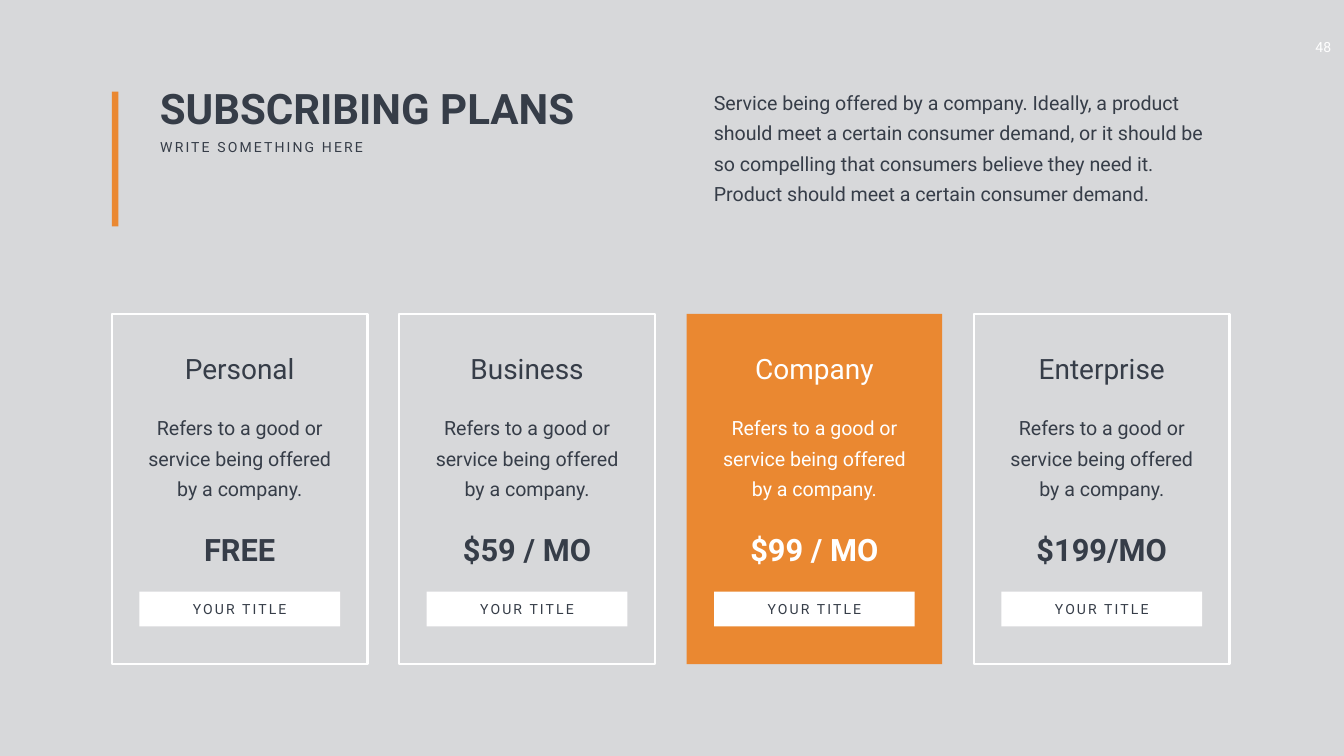
import pptx
import pptx.dml.color
import pptx.enum.shapes
import pptx.enum.text
import pptx.oxml.ns
import pptx.util
from lxml import etree

Inches = pptx.util.Inches
Pt = pptx.util.Pt
RGBColor = pptx.dml.color.RGBColor
ALIGN = pptx.enum.text.PP_ALIGN
ANCHOR = pptx.enum.text.MSO_ANCHOR

DARK = RGBColor(0x36, 0x3D, 0x48)
GREY = RGBColor(0xD7, 0xD8, 0xDA)
WHITE = RGBColor(0xFF, 0xFF, 0xFF)
ORANGE = RGBColor(0xEA, 0x88, 0x31)

FONT = "Roboto"
LEFT, TOP, WIDE, HIGH = 2.22, 6.23, 5.07, 6.95
PITCH = 5.7
BLURB = "Refers to a good or service being offered by a company."
PLANS = [
    ("Personal", "FREE"),
    ("Business", "$59 / MO"),
    ("Company", "$99 / MO"),
    ("Enterprise", "$199/MO"),
]
CHOSEN = "Company"


def place(item, left, top, width, height):
    item.left, item.top = Inches(left), Inches(top)
    item.width, item.height = Inches(width), Inches(height)


def write(item, text, size, color=DARK, bold=False, align=ALIGN.LEFT,
          track=0, line=None, pad=(0.1, 0.05), wrap=True, anchor=ANCHOR.TOP):
    frame = item.text_frame
    frame.auto_size = pptx.enum.text.MSO_AUTO_SIZE.NONE
    frame.word_wrap = wrap
    frame.vertical_anchor = anchor
    frame.margin_left = frame.margin_right = Inches(pad[0])
    frame.margin_top = frame.margin_bottom = Inches(pad[1])
    para = frame.paragraphs[0]
    para.alignment = align
    para.space_before = Pt(0)
    if line:
        para.line_spacing = Pt(line)
    run = para.add_run()
    run.text = text
    font = run.font
    font.name, font.size, font.bold = FONT, Pt(size), bold
    font.color.rgb = color
    if track:
        run._r.get_or_add_rPr().set("spc", str(track * 100))
    return para


def add_text(slide, box, text, size, **style):
    item = slide.shapes.add_textbox(*map(Inches, box))
    write(item, text, size, **style)


def add_rect(slide, box, fill=None, edge=None):
    rect = slide.shapes.add_shape(
        pptx.enum.shapes.MSO_SHAPE.RECTANGLE, *map(Inches, box))
    rect.shadow.inherit = False
    if fill is None:
        rect.fill.background()
    else:
        rect.fill.solid()
        rect.fill.fore_color.rgb = fill
    if edge is None:
        rect.line.fill.background()
    else:
        rect.line.color.rgb = edge
        rect.line.width = Pt(3)
    return rect


def add_head(slide):
    title, body = slide.placeholders
    place(title, 3.07, 1.59, 10.39, 1.11)
    write(title, "SUBSCRIBING PLANS", 60, bold=True)
    add_text(slide, (3.08, 2.7, 4.35, 0.44), "WRITE SOMETHING HERE", 20,
             track=3, wrap=False)
    add_rect(slide, (LEFT, 1.82, 0.13, 2.67), fill=ORANGE)
    place(body, 13.92, 1.56, 10.51, 2.6)
    para = write(
        body,
        "Service being offered by a company. Ideally, a product should meet "
        "a certain consumer demand, or it should be so compelling that "
        "consumers believe they need it. Product should meet a certain "
        "consumer demand.",
        28, line=43, pad=(0.24, 0.12))
    props = para._p.get_or_add_pPr()
    props.set("marL", "0")
    props.set("indent", "0")
    etree.SubElement(props, pptx.oxml.ns.qn("a:buNone"))


def add_plan(slide, left, name, price):
    chosen = name == CHOSEN
    ink = WHITE if chosen else DARK

    def center(top, width, height):
        return left + (WIDE - width) / 2, top, width, height

    add_rect(slide, (left, TOP, WIDE, HIGH),
             fill=ORANGE if chosen else None,
             edge=None if chosen else WHITE)
    add_text(slide, center(6.92, 4.2, 0.77), name, 40,
             color=ink, align=ALIGN.CENTER)
    add_text(slide, center(8.01, 4.4, 2), BLURB, 28, color=ink,
             align=ALIGN.CENTER, line=43, pad=(0.24, 0.12))
    add_text(slide, center(10.49, 4.2, 0.84), price, 44,
             color=ink, bold=True, align=ALIGN.CENTER)
    button = add_rect(slide, center(11.74, 3.98, 0.69), fill=WHITE)
    write(button, "YOUR TITLE", 20, align=ALIGN.CENTER, track=3,
          anchor=ANCHOR.MIDDLE)


def main():
    deck = pptx.Presentation()
    deck.slide_width, deck.slide_height = Inches(26.66), Inches(15)
    slide = deck.slides.add_slide(deck.slide_layouts[1])
    back = slide.background.fill
    back.solid()
    back.fore_color.rgb = GREY
    add_text(slide, (25.87, 0.67, 0.76, 0.54), "48", 20, color=WHITE,
             align=ALIGN.CENTER, pad=(0.2, 0.1), wrap=False)
    add_head(slide)
    for rank, (name, price) in enumerate(PLANS):
        add_plan(slide, LEFT + rank * PITCH, name, price)
    deck.save("out.pptx")


if __name__ == "__main__":
    main()
